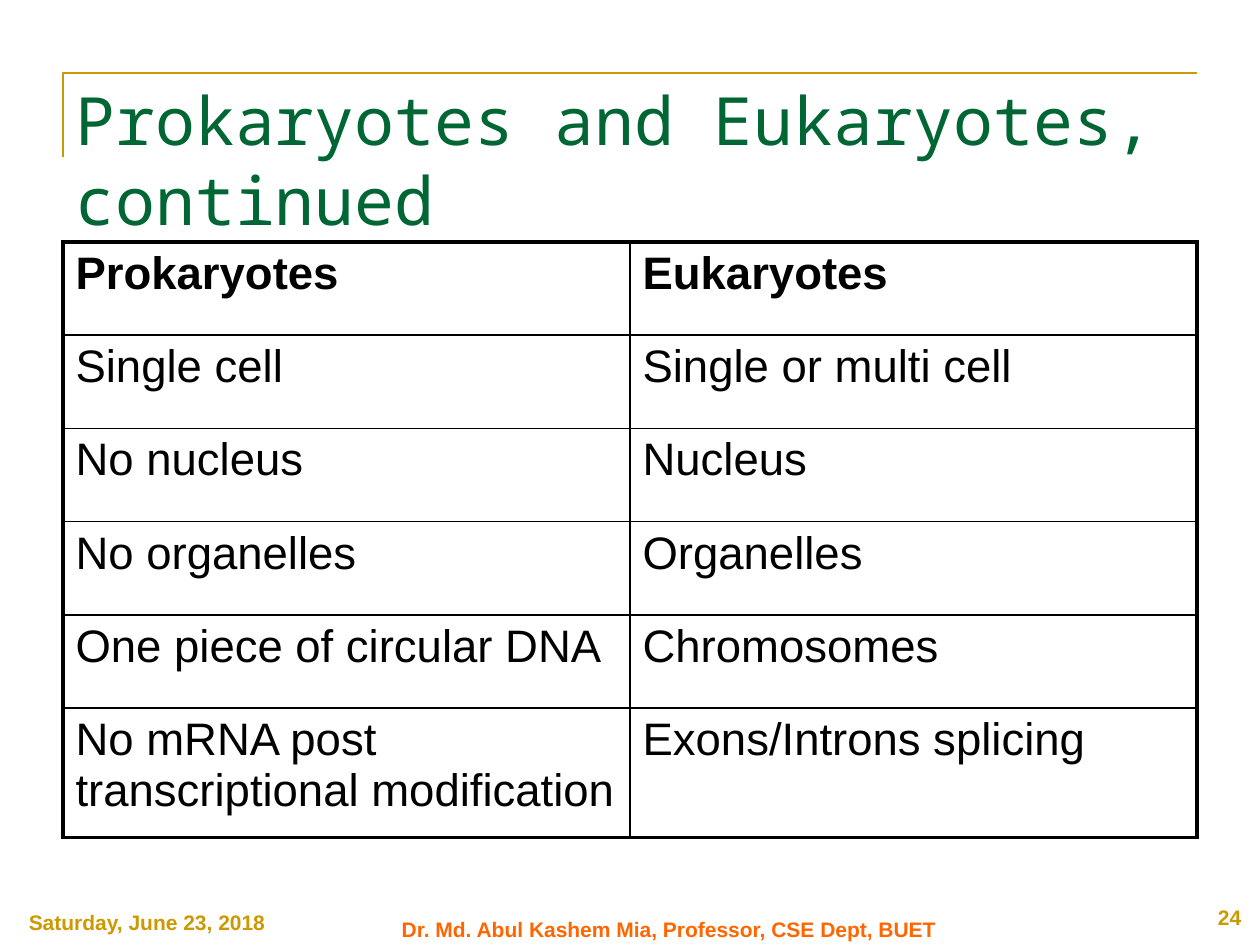
from lxml import etree
from pptx import Presentation
from pptx.dml.color import RGBColor
from pptx.enum import text
from pptx.oxml import ns
from pptx.util import Inches, Pt

GOLD, ORANGE, GREEN, BLACK = "CC9900", "FF6600", "006633", "000000"
TITLE = "Prokaryotes and Eukaryotes, continued"
ROWS = [
    ("Prokaryotes", "Eukaryotes"),
    ("Single cell", "Single or multi cell"),
    ("No nucleus", "Nucleus"),
    ("No organelles", "Organelles"),
    ("One piece of circular DNA", "Chromosomes"),
    ("No mRNA post transcriptional modification", "Exons/Introns splicing"),
]
LEFT, TOP, WIDTH = 0.5, 0.58, 9
TABLE_TOP, ROW_H, LAST_ROW_H = 1.92, 0.74, 1.03
THICK, THIN = 2.25, 1


def color(value):
    return RGBColor.from_string(value)


def write(tf, content, size=12, font="Arial", fill=BLACK, bold=False,
          align=text.PP_ALIGN.LEFT):
    p = tf.paragraphs[0]
    p.alignment = align
    r = p.add_run()
    r.text = content
    r.font.size = Pt(size)
    r.font.name = font
    r.font.bold = bold
    r.font.color.rgb = color(fill)


def add_text(s, box, content, wrap=True, anchor=text.MSO_ANCHOR.TOP, **fmt):
    tf = s.shapes.add_textbox(*map(Inches, box)).text_frame
    tf.word_wrap = wrap
    tf.vertical_anchor = anchor
    write(tf, content, **fmt)


def set_border(cell, side, width):
    tc_pr = cell._tc.get_or_add_tcPr()
    ln = etree.SubElement(tc_pr, ns.qn(f"a:ln{side}"), w=str(Pt(width)))
    fill = etree.SubElement(ln, ns.qn("a:solidFill"))
    etree.SubElement(fill, ns.qn("a:srgbClr"), val=BLACK)


def add_corner_rule(s):
    fb = s.shapes.build_freeform(Inches(LEFT), Inches(1.25))
    corner = [(LEFT, TOP), (LEFT + WIDTH, TOP)]
    fb.add_line_segments([(Inches(x), Inches(y)) for x, y in corner], close=False)
    sp = fb.convert_to_shape()
    sp.shadow.inherit = False
    sp.fill.background()
    sp.line.color.rgb = color(GOLD)
    sp.line.width = Pt(1.5)


def add_comparison(s):
    n_rows, n_cols = len(ROWS), len(ROWS[0])
    height = ROW_H * (n_rows - 1) + LAST_ROW_H
    table = s.shapes.add_table(
        n_rows, n_cols, Inches(LEFT), Inches(TABLE_TOP), Inches(WIDTH), Inches(height)
    ).table
    table.first_row = table.horz_banding = False
    for i, row in enumerate(ROWS):
        last = i == n_rows - 1
        table.rows[i].height = Inches(LAST_ROW_H if last else ROW_H)
        for j, content in enumerate(row):
            cell = table.cell(i, j)
            write(cell.text_frame, content, size=26, bold=i == 0)
            outer = {"L": j == 0, "R": j == n_cols - 1, "T": i == 0, "B": last}
            for side, is_outer in outer.items():
                set_border(cell, side, THICK if is_outer else THIN)
            cell.fill.background()


def main():
    prs = Presentation()
    prs.slide_width, prs.slide_height = Inches(10), Inches(7.5)
    s = prs.slides.add_slide(prs.slide_layouts[6])
    add_corner_rule(s)
    add_text(s, (3.09, 7.28, 4.67, 0.18),
             "Dr. Md. Abul Kashem Mia, Professor, CSE Dept, BUET",
             wrap=False, anchor=text.MSO_ANCHOR.MIDDLE, fill=ORANGE, bold=True)
    add_text(s, (0.13, 7.17, 2.78, 0.25), "Saturday, June 23, 2018",
             fill=GOLD, bold=True)
    add_text(s, (7.62, 7.13, 2.33, 0.27), "24", fill=GOLD, bold=True,
             align=text.PP_ALIGN.RIGHT)
    add_text(s, (LEFT, TOP, WIDTH, 0.97), TITLE, size=38,
             font="Noto Sans Mono", fill=GREEN)
    add_comparison(s)
    prs.save("out.pptx")


if __name__ == "__main__":
    main()
